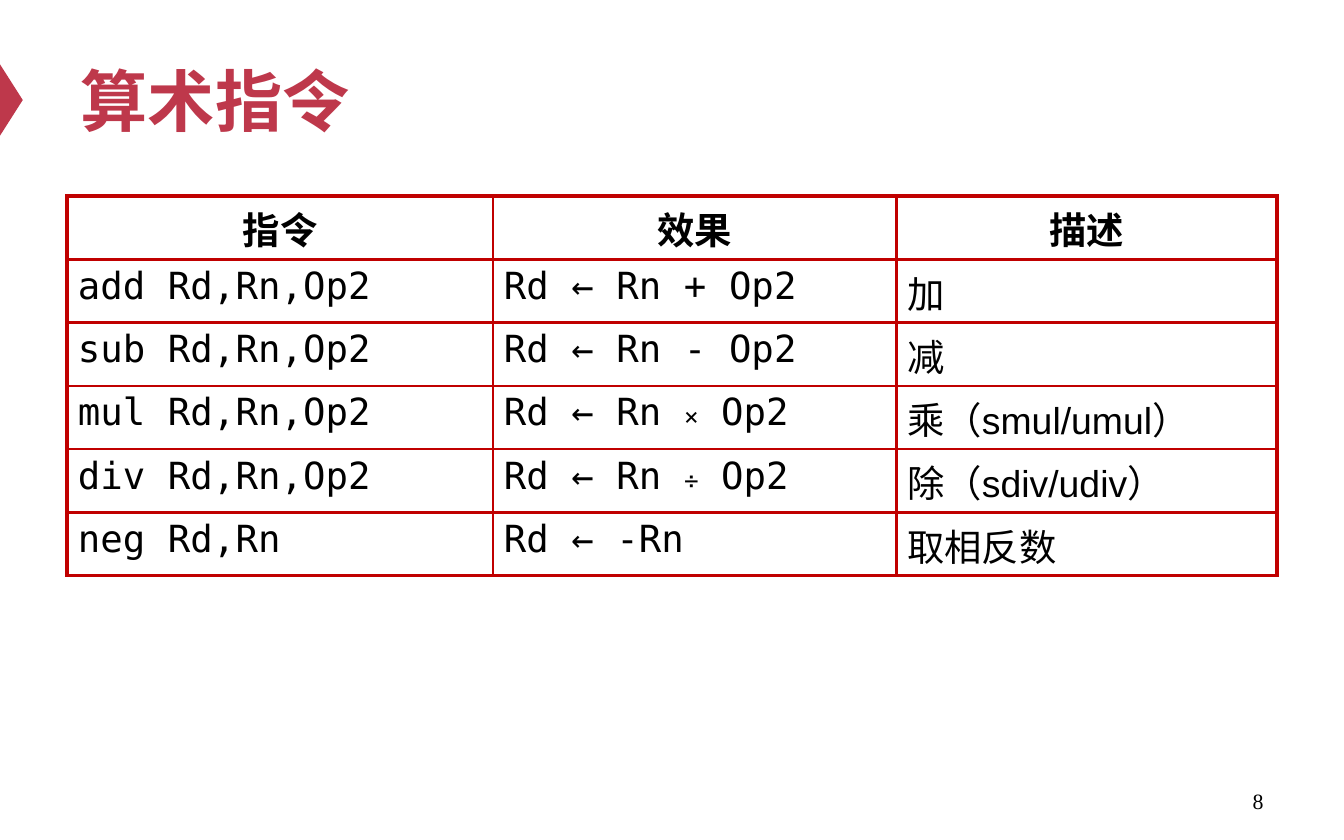
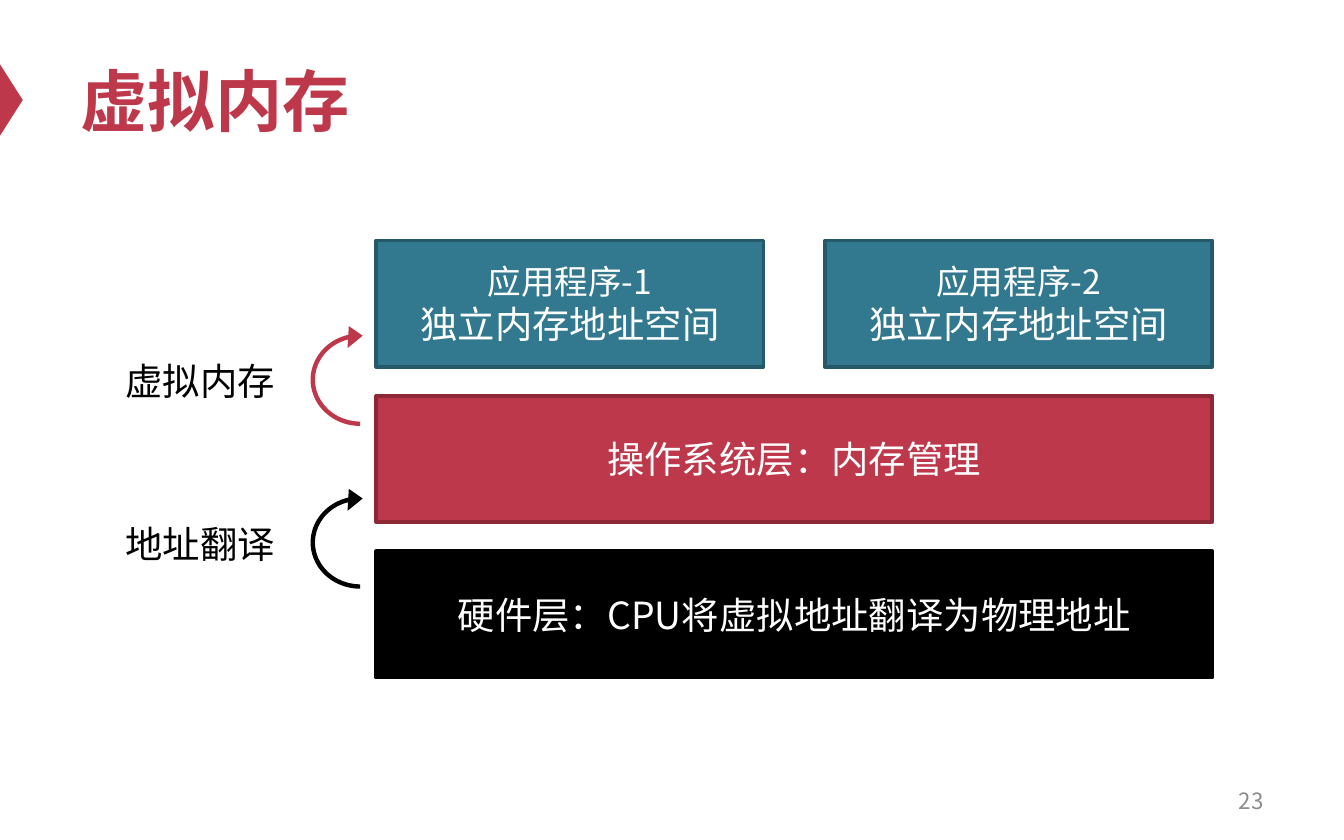
from lxml.etree import SubElement
from pptx import Presentation
from pptx.dml.color import RGBColor
from pptx.enum.shapes import MSO_SHAPE as Preset
from pptx.enum.text import MSO_ANCHOR as Anchor, MSO_AUTO_SIZE as AutoSize, PP_ALIGN as Align
from pptx.oxml import parse_xml
from pptx.oxml.ns import nsdecls, qn
from pptx.util import Pt

RED, RED_EDGE = "BE384B", "8D2937"
TEAL, TEAL_EDGE = "32788E", "255969"
BLACK, WHITE, GREY, BORDER = "000000", "FFFFFF", "8C8C8C", "C00000"
SANS, MONO, CJK, SERIF = "Arial", "DejaVu Sans Mono", "Noto Sans CJK SC", "Times New Roman"

TITLE_FORMAT = {"name": SANS, "size": Pt(36), "bold": True, "color": RED}
BODY_FORMAT = {"name": SANS, "size": Pt(20), "bold": False, "color": BLACK}
BLOCK_FORMAT = BODY_FORMAT | {"name": CJK, "color": WHITE}

INSTRUCTIONS = [
    ("指令", "效果", "描述"),
    ("add Rd,Rn,Op2", "Rd ← Rn + Op2", "加"),
    ("sub Rd,Rn,Op2", "Rd ← Rn - Op2", "减"),
    ("mul Rd,Rn,Op2", "Rd ← Rn × Op2", "乘（smul/umul）"),
    ("div Rd,Rn,Op2", "Rd ← Rn ÷ Op2", "除（sdiv/udiv）"),
    ("neg Rd,Rn", "Rd ← -Rn", "取相反数"),
]


def points(*lengths):
    return [Pt(length) for length in lengths]


def color(hex_string):
    return RGBColor.from_string(hex_string)


def set_font(font, format_values):
    for name, value in format_values.items():
        if name == "color":
            font.color.rgb = color(value)
        else:
            setattr(font, name, value)


def write(frame, runs, format_values, align=Align.LEFT):
    """Fill one paragraph with (text, changed format) runs; a newline text is a line break."""
    paragraph = frame.paragraphs[0]
    paragraph.alignment = align
    for text, changes in runs:
        if text == "\n":
            paragraph.add_line_break()
            continue
        run = paragraph.add_run()
        run.text = text
        set_font(run.font, format_values | changes)
        SubElement(run.font._element, qn("a:ea"), typeface=CJK)


def add_filled_shape(slide, preset, box, fill, edge=None):
    shape = slide.shapes.add_shape(preset, *points(*box))
    shape.shadow.inherit = False
    shape.fill.solid()
    shape.fill.fore_color.rgb = color(fill)
    if edge:
        shape.line.color.rgb = color(edge)
        shape.line.width = Pt(2)
    else:
        shape.line.fill.background()
    return shape


def add_text(slide, box, text, format_values, align=Align.LEFT, **frame_values):
    frame = slide.shapes.add_textbox(*points(*box)).text_frame
    for name, value in frame_values.items():
        setattr(frame, name, value)
    write(frame, [(text, {})], format_values, align)


def add_titled_slide(presentation, title, number, number_format):
    slide = presentation.slides.add_slide(presentation.slide_layouts[5])
    marker = add_filled_shape(slide, Preset.ISOSCELES_TRIANGLE, (-13, 47.5, 38.2, 12.2), RED)
    marker.rotation = 90

    placeholder = slide.shapes.title
    box = points(36, 18, 648, 70.6)
    for name, value in zip(("left", "top", "width", "height"), box):
        setattr(placeholder, name, value)
    placeholder.text_frame.vertical_anchor = Anchor.MIDDLE
    write(placeholder.text_frame, [(title, {})], TITLE_FORMAT)

    add_text(slide, (516.2, 417, 167.8, 23.8), number, number_format, Align.RIGHT,
             vertical_anchor=Anchor.MIDDLE, word_wrap=True)
    return slide


def set_borders(cell, widths):
    """Draw the left, right, top and bottom borders, which come before the cell's fill."""
    properties = cell._tc.get_or_add_tcPr()
    for index, (side, width) in enumerate(zip("LRTB", widths)):
        properties.insert(index, parse_xml(
            f'<a:ln{side} {nsdecls("a")} w="{Pt(width)}"><a:solidFill>'
            f'<a:srgbClr val="{BORDER}"/></a:solidFill></a:ln{side}>'))


def operator_runs(text):
    """Split off a multiplication or division sign, which is set smaller."""
    for sign in "×÷":
        if sign in text:
            before, after = text.split(sign)
            return [(before, {}), (sign, {"size": Pt(13)}), (after, {})]
    return [(text, {})]


def add_instruction_table(slide, left, top, column_widths, row_height):
    last_row, last_column = len(INSTRUCTIONS) - 1, len(column_widths) - 1
    table = slide.shapes.add_table(
        last_row + 1, last_column + 1,
        *points(left, top, sum(column_widths), row_height * (last_row + 1))).table
    table.first_row = table.horz_banding = False
    for column, width in zip(table.columns, column_widths):
        column.width = Pt(width)
    for i, texts in enumerate(INSTRUCTIONS):
        table.rows[i].height = Pt(row_height)
        for j, text in enumerate(texts):
            cell = table.cell(i, j)
            cell.margin_left = cell.margin_right = Pt(5.76)
            cell.margin_top = cell.margin_bottom = Pt(2.88)
            cell.fill.background()
            outer = (j == 0, j == last_column, i == 0, i == last_row)
            set_borders(cell, [2.25 if edge else 1.5 for edge in outer])
            is_header = i == 0
            font_name = SANS if is_header or j == last_column else MONO
            write(cell.text_frame, operator_runs(text),
                  BODY_FORMAT | {"name": font_name, "bold": is_header},
                  Align.CENTER if is_header else Align.LEFT)


def add_memory_layers(slide, left, top, width):
    """Stack the applications, operating system and hardware blocks."""
    height, pitch, app_width = 67.7, 83.2, 207.4

    def add_block(x, level, block_width, fill, edge, runs):
        box = (x, top + level * pitch, block_width, height)
        block = add_filled_shape(slide, Preset.RECTANGLE, box, fill, edge)
        block.text_frame.vertical_anchor = Anchor.MIDDLE
        write(block.text_frame, runs, BLOCK_FORMAT, Align.CENTER)

    add_block(left, 2, width, BLACK, BLACK, [("硬件层：CPU将虚拟地址翻译为物理地址", {})])
    add_block(left, 1, width, RED, RED_EDGE, [("操作系统层：内存管理", {})])
    for index, x in enumerate((left, left + width - app_width), 1):
        add_block(x, 0, app_width, TEAL, TEAL_EDGE,
                  [(f"应用程序-{index}", {"size": Pt(18)}), ("\n", {}), ("独立内存地址空间", {})])


def add_layer_arrows(slide, left, top, pitch):
    """Place each label beside the curved arrow that leads one layer up."""
    for index, (text, fill) in enumerate((("虚拟内存", RED), ("地址翻译", BLACK))):
        y = top + index * pitch
        add_text(slide, (left, y + 16.2, 95, 31.7), text, BODY_FORMAT,
                 word_wrap=False, auto_size=AutoSize.SHAPE_TO_FIT_TEXT)
        arrow = add_filled_shape(slide, Preset.CIRCULAR_ARROW, (left + 103.4, y, 59, 62.6), fill)
        arrow.rotation = 270
        for position, value in enumerate((0.04, 11.42, 206.56, 108, 0.1)):
            arrow.adjustments[position] = value


def main():
    presentation = Presentation()
    presentation.slide_width, presentation.slide_height = points(720, 450)

    slide = add_titled_slide(presentation, "算术指令", "8",
                             {"name": SERIF, "size": Pt(11.7), "color": BLACK})
    add_instruction_table(slide, 36, 105.1, (228.2, 216, 203.8), 33.9)

    slide = add_titled_slide(presentation, "虚拟内存", "23",
                             {"name": CJK, "size": Pt(12), "color": GREY})
    add_memory_layers(slide, 201.6, 128.9, 447.8)
    add_layer_arrows(slide, 60.1, 172.1, 87.2)

    presentation.save("out.pptx")


if __name__ == "__main__":
    main()
